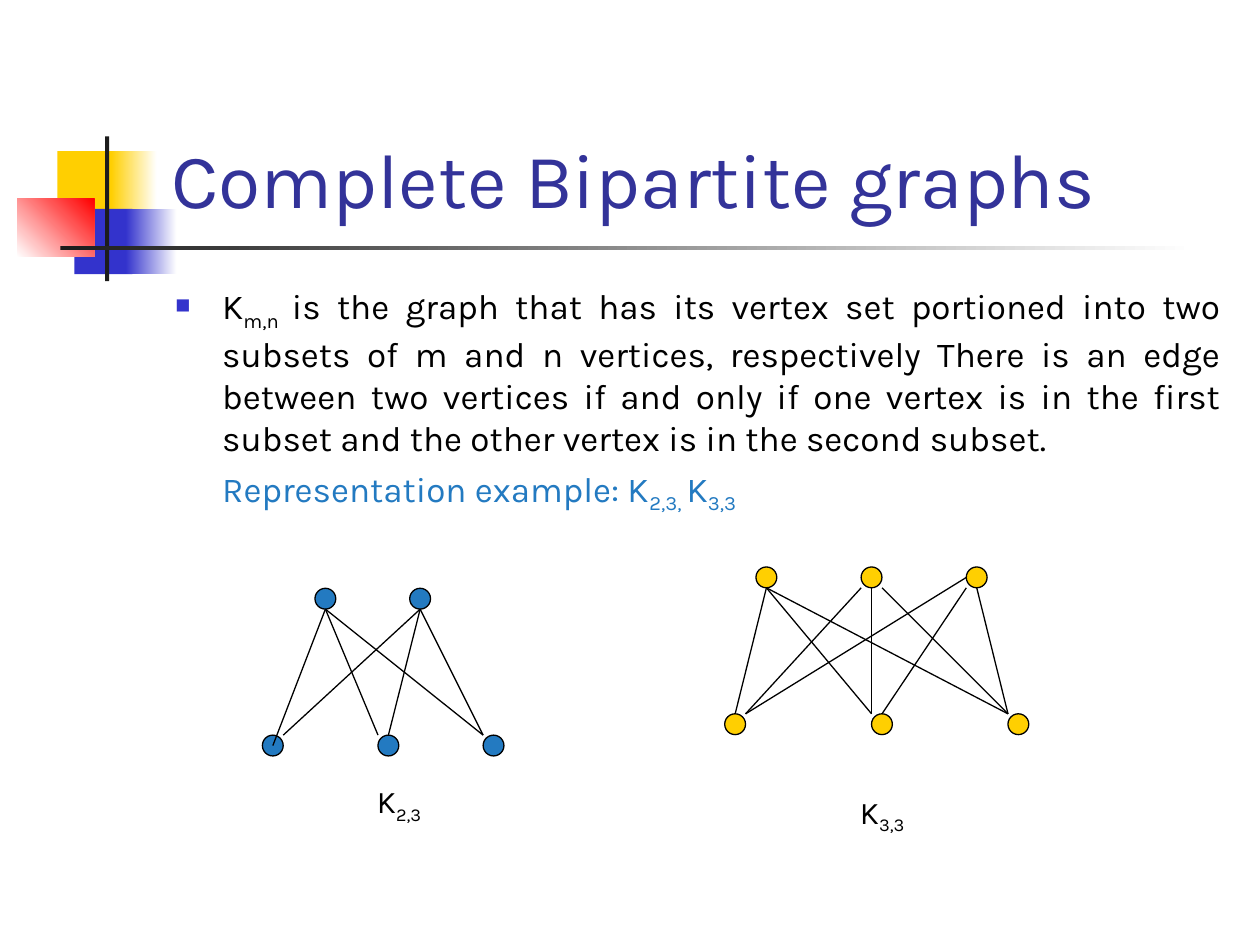
import lxml.etree
import pptx
import pptx.dml.color
import pptx.enum.shapes
import pptx.enum.text
import pptx.oxml.ns
import pptx.util

Cm = pptx.util.Cm
Pt = pptx.util.Pt
SHAPE = pptx.enum.shapes.MSO_SHAPE
ALIGN = pptx.enum.text.PP_ALIGN
ANCHOR = pptx.enum.text.MSO_ANCHOR

THEME = {
    "font": "Karla",
    "title": "333399", "text": "000000", "example": "237AC1", "bullet": "3333CC",
    "line": "000000", "paper": "FFFFFF",
    "yellow": "FFCF01", "indigo": "3333CC", "red": "FF0000", "ink": "1C1C1C",
    "title_size": 44, "body_size": 20, "label_size": 18, "line_width": 0.75,
}

# left, top, width, height in cm; colour or (start, end, angle)
ORNAMENT = [
    ((1.16, 3.05, 1.22, 1.32), "yellow"),
    ((2.24, 3.05, 0.92, 1.32), ("yellow", "paper", 0)),
    ((1.5, 4.21, 1.17, 1.32), "indigo"),
    ((2.54, 4.21, 1.02, 1.32), ("indigo", "paper", 0)),
    ((0.35, 4.01, 1.55, 1.17), ("paper", "red", 45)),
    ((2.12, 2.75, 0.08, 2.92), "ink"),
    ((1.22, 4.95, 22.86, 0.09), ("ink", "paper", 0)),
]

# Text runs as (text, is subscript)
TITLE = [("Complete Bipartite graphs", False)]
DEFINITION = [
    ("K", False), ("m,n ", True),
    ("is the graph that has its vertex set portioned into two subsets of m and n "
     "vertices, respectively There is an edge between two vertices if and only if one "
     "vertex is in the first subset and the other vertex is in the second subset.", False),
]
EXAMPLE = [("Representation example: K", False), ("2,3, ", True),
           ("K", False), ("3,3", True)]

# Vertex centres in cm. An edge is (upper vertex, its offset, lower vertex, its offset),
# the offsets counted in vertex radii.
RADIUS = 0.21
GRAPHS = [
    {
        "colour": "example", "upper": ([6.56, 8.47], 12.07),
        "lower": ([5.5, 7.83, 9.95], 15.03),
        "edges": [
            (0, (0, 1), 0, (0, 0)), (0, (0, 1), 1, (-1, -1)), (0, (0, 1), 2, (-1, -1)),
            (1, (0, 1), 0, (1, -1)), (1, (0, 1), 1, (0, -1)), (1, (0, 1), 2, (-1, -1)),
        ],
        "label": [("K", False), ("2,3", True)], "label_at": (7.62, 15.88),
    },
    {
        "colour": "yellow", "upper": ([15.45, 17.57, 19.69], 11.64),
        "lower": ([14.82, 17.78, 20.53], 14.6),
        "edges": [
            (0, (0, 1), 0, (0, -1)), (0, (0, 1), 1, (-1, -1)), (0, (0, 1), 2, (-1, -1)),
            (1, (-1, 1), 0, (1, -1)), (1, (0, 1), 1, (-1, -1)), (1, (1, 1), 2, (-1, -1)),
            (2, (-1, 0), 0, (1, -1)), (2, (-1, 1), 1, (0, -1)), (2, (0, 1), 2, (-1, -1)),
        ],
        "label": [("K", False), ("3,3", True)], "label_at": (17.36, 16.09),
    },
]
LABEL_SIZE = (0.85, 0.64)


def rgb(name):
    return pptx.dml.color.RGBColor.from_string(THEME[name])


def apply(target, values):
    for name, value in values.items():
        setattr(target, name, value)


def add_filled(slide, kind, box, fill, line=None):
    shape = slide.shapes.add_shape(kind, *map(Cm, box))
    shape.shadow.inherit = False
    if isinstance(fill, tuple):
        *stops, angle = fill
        shape.fill.gradient()
        shape.fill.gradient_angle = angle
        for stop, name in zip(shape.fill.gradient_stops, stops):
            stop.color.rgb = rgb(name)
    else:
        shape.fill.solid()
        shape.fill.fore_color.rgb = rgb(fill)
    if line:
        shape.line.color.rgb = rgb(line)
        shape.line.width = Pt(THEME["line_width"])
    else:
        shape.line.fill.background()
    return shape


def add_runs(paragraph, runs, size, colour):
    for text, subscript in runs:
        run = paragraph.add_run()
        run.text = text
        apply(run.font, {"name": THEME["font"], "size": Pt(THEME[size])})
        run.font.color.rgb = rgb(colour)
        if subscript:
            run.font._element.set("baseline", "-25000")


def indent(paragraph, bullet=None):
    """Indent the text; a bullet hangs to the left of it."""
    properties = paragraph._p.get_or_add_pPr()
    margin = Cm(0.95)
    properties.set("marL", str(margin))
    properties.set("indent", str(-margin if bullet else 0))
    if bullet:
        def add(parent, tag, **attributes):
            return lxml.etree.SubElement(parent, pptx.oxml.ns.qn(tag), attributes)
        add(add(properties, "a:buClr"), "a:srgbClr", val=THEME["bullet"])
        add(properties, "a:buSzPct", val="60000")
        add(properties, "a:buChar", char=bullet)


def add_text_frame(slide, box, anchor):
    frame = slide.shapes.add_textbox(*map(Cm, box)).text_frame
    apply(frame, {"word_wrap": True, "vertical_anchor": anchor})
    return frame


def add_edge(slide, start, end):
    edge = slide.shapes.add_connector(
        pptx.enum.shapes.MSO_CONNECTOR.STRAIGHT, *map(Cm, start + end))
    edge.line.color.rgb = rgb("line")
    edge.line.width = Pt(THEME["line_width"])
    lxml.etree.SubElement(edge._element.spPr, pptx.oxml.ns.qn("a:effectLst"))


def add_graph(slide, graph):
    upper, lower = ([(x, y) for x in xs] for xs, y in (graph["upper"], graph["lower"]))
    for x, y in upper + lower:
        box = (x - RADIUS, y - RADIUS, 2 * RADIUS, 2 * RADIUS)
        add_filled(slide, SHAPE.OVAL, box, graph["colour"], "line")

    def end_point(vertex, offset):
        return tuple(c + RADIUS * o for c, o in zip(vertex, offset))

    for top, top_offset, bottom, bottom_offset in graph["edges"]:
        add_edge(slide, end_point(upper[top], top_offset),
                 end_point(lower[bottom], bottom_offset))

    label = add_filled(slide, SHAPE.RECTANGLE, graph["label_at"] + LABEL_SIZE,
                       "paper", "paper").text_frame
    apply(label, {"word_wrap": False, "vertical_anchor": ANCHOR.MIDDLE})
    label.paragraphs[0].alignment = ALIGN.CENTER
    add_runs(label.paragraphs[0], graph["label"], "label_size", "text")


def main():
    deck = pptx.Presentation()
    apply(deck, {"slide_width": Cm(25.4), "slide_height": Cm(19.05)})
    slide = deck.slides.add_slide(deck.slide_layouts[6])

    for box, fill in ORNAMENT:
        add_filled(slide, SHAPE.RECTANGLE, box, fill)

    title = add_text_frame(slide, (3.2, 0.58, 21.64, 4.06), ANCHOR.BOTTOM)
    add_runs(title.paragraphs[0], TITLE, "title_size", "title")

    body = add_text_frame(slide, (3.28, 5.61, 21.59, 4.98), ANCHOR.TOP)
    definition, example = body.paragraphs[0], body.add_paragraph()
    indent(definition, "■")
    indent(example)
    definition.alignment = ALIGN.JUSTIFY
    apply(example, {"alignment": ALIGN.JUSTIFY, "space_before": Pt(5)})
    add_runs(definition, DEFINITION, "body_size", "text")
    add_runs(example, EXAMPLE, "body_size", "example")

    for graph in GRAPHS:
        add_graph(slide, graph)
    deck.save("out.pptx")


if __name__ == "__main__":
    main()
